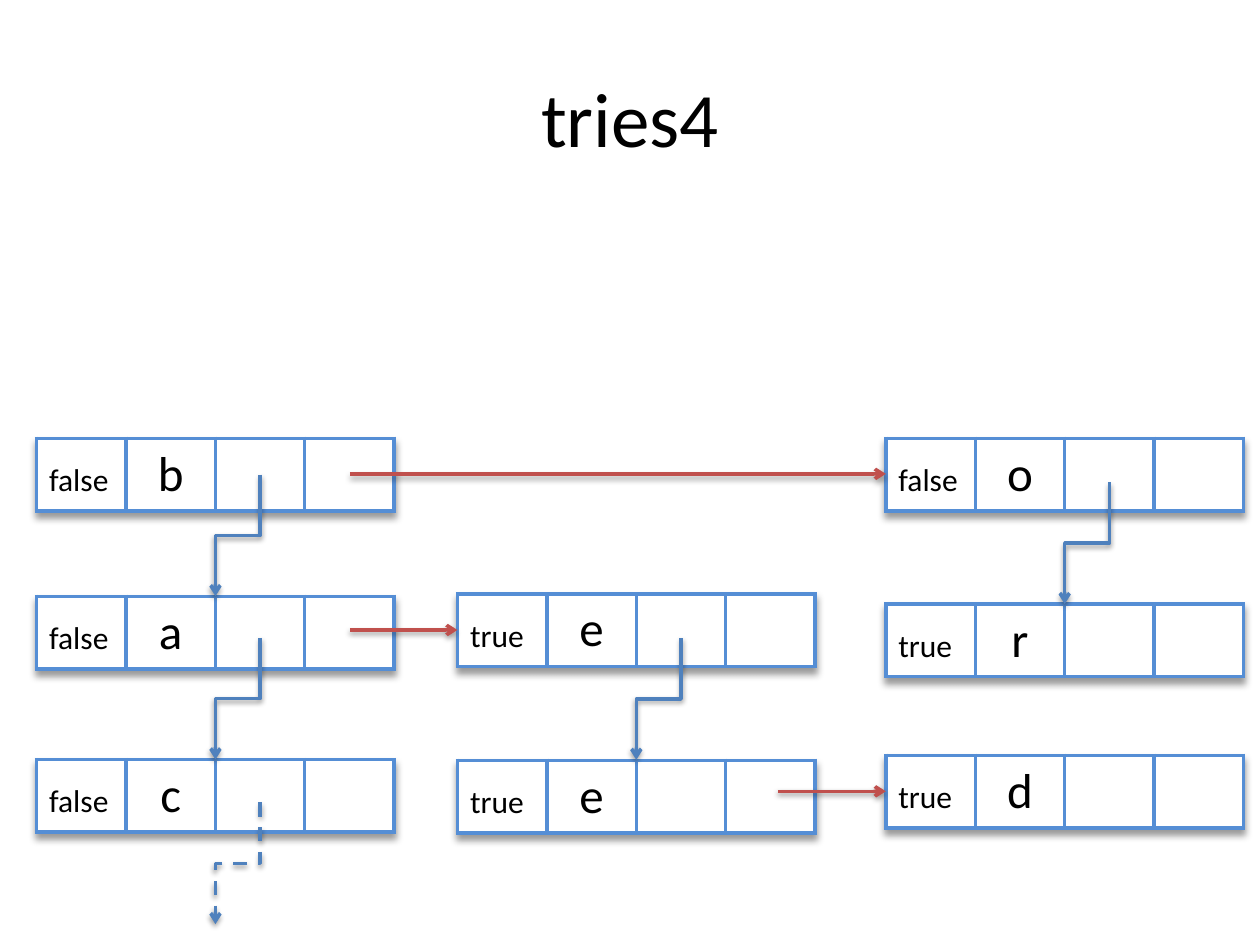
from dataclasses import dataclass

from lxml.etree import SubElement
from pptx import Presentation
from pptx.dml.color import RGBColor
from pptx.enum.dml import MSO_LINE_DASH_STYLE as Dash
from pptx.enum.shapes import MSO_CONNECTOR as Link
from pptx.enum.text import MSO_ANCHOR as Anchor, PP_ALIGN as Align
from pptx.oxml.ns import qn
from pptx.util import Pt

FONT = "Calibri"
BLACK, WHITE = "000000", "FFFFFF"
BORDER, CHILD_COLOUR, SIBLING_COLOUR = "558ED5", "4F81BD", "C0504D"
COLUMN_WIDTH, RECORD_HEIGHT = 51.1, 41
COLUMNS = 4
LEFT, MIDDLE, RIGHT = 20.9, 261.4, 506.2
CHILD_DROP = 69.5


@dataclass(frozen=True)
class Record:
    """One trie node: its end-of-word flag and its letter."""
    left: float
    top: float
    flag: str
    letter: str


@dataclass(frozen=True)
class ChildArrow:
    """A stepped arrow from a record's third cell to the record below."""
    record_left: float
    top: float
    dashed: bool = False


@dataclass(frozen=True)
class SiblingArrow:
    """A level arrow from a record's last cell to the record at its right."""
    start: float
    end: float
    y: float


RECORDS = [
    Record(LEFT, 250.5, "false", "b"),
    Record(LEFT, 340.8, "false", "a"),
    Record(MIDDLE, 339.4, "true", "e"),
    Record(LEFT, 434, "false", "c"),
    Record(MIDDLE, 434.5, "true", "e"),
    Record(RIGHT, 250.5, "false", "o"),
    Record(RIGHT, 345.2, "true", "r"),
    Record(RIGHT, 431.6, "true", "d"),
]
CHILD_ARROWS = [
    ChildArrow(LEFT, 271.2),
    ChildArrow(LEFT, 364.5),
    ChildArrow(MIDDLE, 364.7),
    ChildArrow(LEFT, 458.6, dashed=True),
    ChildArrow(RIGHT, 275.7),
]
SIBLING_ARROWS = [
    SiblingArrow(200, MIDDLE, 360),
    SiblingArrow(200, RIGHT, 270.8),
    SiblingArrow(444.5, RIGHT, 452.2),
]


def colour(code: str) -> RGBColor:
    """Turn a hex string into a colour."""
    return RGBColor.from_string(code)


def add_shadow(parent, blur: float, distance: float, opacity: int) -> None:
    """Give an element a black shadow that falls straight down."""
    effects = SubElement(parent, qn("a:effectLst"))
    shadow = SubElement(effects, qn("a:outerShdw"), blurRad=str(Pt(blur)),
                        dist=str(Pt(distance)), dir="5400000", rotWithShape="0")
    black = SubElement(shadow, qn("a:srgbClr"), val=BLACK)
    SubElement(black, qn("a:alpha"), val=str(opacity * 1000))


def format_text(para, text: str, size: float, align: Align) -> None:
    """Write one paragraph in the slide's font."""
    para.text = text
    para.alignment = align
    para.font.name = FONT
    para.font.size = Pt(size)
    para.font.color.rgb = colour(BLACK)


def format_cell(cell) -> None:
    """Give a cell four blue borders and a white fill."""
    properties = cell._tc.get_or_add_tcPr()
    for side in ("lnL", "lnR", "lnT", "lnB"):
        border = SubElement(properties, qn(f"a:{side}"), w=str(Pt(2.25)))
        fill = SubElement(border, qn("a:solidFill"))
        SubElement(fill, qn("a:srgbClr"), val=BORDER)
    cell.fill.solid()
    cell.fill.fore_color.rgb = colour(WHITE)


def draw_record(page, record: Record) -> None:
    """Draw a trie node as a one-row table."""
    table = page.shapes.add_table(
        1, COLUMNS, Pt(record.left), Pt(record.top),
        Pt(COLUMNS * COLUMN_WIDTH), Pt(RECORD_HEIGHT)).table
    table.first_row = table.horz_banding = False
    properties = table._tbl.tblPr
    add_shadow(properties, 4, 3, 40)
    properties.insert(0, properties[-1])
    for column in table.columns:
        column.width = Pt(COLUMN_WIDTH)
    for cell in table.iter_cells():
        format_cell(cell)
    flag, letter = table.cell(0, 0), table.cell(0, 1)
    flag.margin_top = Pt(13.4)
    format_text(flag.text_frame.paragraphs[0], record.flag, 18, Align.LEFT)
    format_text(letter.text_frame.paragraphs[0], record.letter, 28, Align.CENTER)


def format_arrow(arrow, code: str, dashed: bool = False) -> None:
    """Set an arrow's line, head and shadow."""
    arrow.line.color.rgb = colour(code)
    arrow.line.width = Pt(2)
    if dashed:
        arrow.line.dash_style = Dash.DASH
    SubElement(arrow.line._get_or_add_ln(), qn("a:tailEnd"), type="arrow")
    add_shadow(arrow._element.spPr, 3.1, 1.6, 38)


def draw_child_arrow(page, child: ChildArrow) -> None:
    """Draw an elbow, turned a quarter so that it leaves downwards."""
    shift = COLUMN_WIDTH / 2
    center_x = child.record_left + 2.25 * COLUMN_WIDTH
    center_y = child.top + CHILD_DROP / 2
    arrow = page.shapes.add_connector(
        Link.ELBOW,
        Pt(center_x - CHILD_DROP / 2), Pt(center_y - shift / 2),
        Pt(center_x + CHILD_DROP / 2), Pt(center_y + shift / 2))
    arrow._element.spPr.find(qn("a:xfrm")).set("rot", "5400000")
    format_arrow(arrow, CHILD_COLOUR, child.dashed)


def draw_sibling_arrow(page, sibling: SiblingArrow) -> None:
    """Draw a straight level arrow."""
    arrow = page.shapes.add_connector(
        Link.STRAIGHT, Pt(sibling.start), Pt(sibling.y),
        Pt(sibling.end), Pt(sibling.y))
    format_arrow(arrow, SIBLING_COLOUR)


def draw_title(page, text: str) -> None:
    """Place and format the title."""
    title = page.shapes.title
    title.left, title.top, title.width, title.height = (
        Pt(36), Pt(21.6), Pt(648), Pt(90))
    title.text_frame.vertical_anchor = Anchor.MIDDLE
    format_text(title.text_frame.paragraphs[0], text, 44, Align.CENTER)


def main() -> None:
    """Build the slide and save it."""
    deck = Presentation()
    deck.slide_width, deck.slide_height = Pt(720), Pt(540)
    page = deck.slides.add_slide(deck.slide_layouts[5])
    draw_title(page, "tries4")
    for record in RECORDS:
        draw_record(page, record)
    for child in CHILD_ARROWS:
        draw_child_arrow(page, child)
    for sibling in SIBLING_ARROWS:
        draw_sibling_arrow(page, sibling)
    deck.save("out.pptx")


main()
